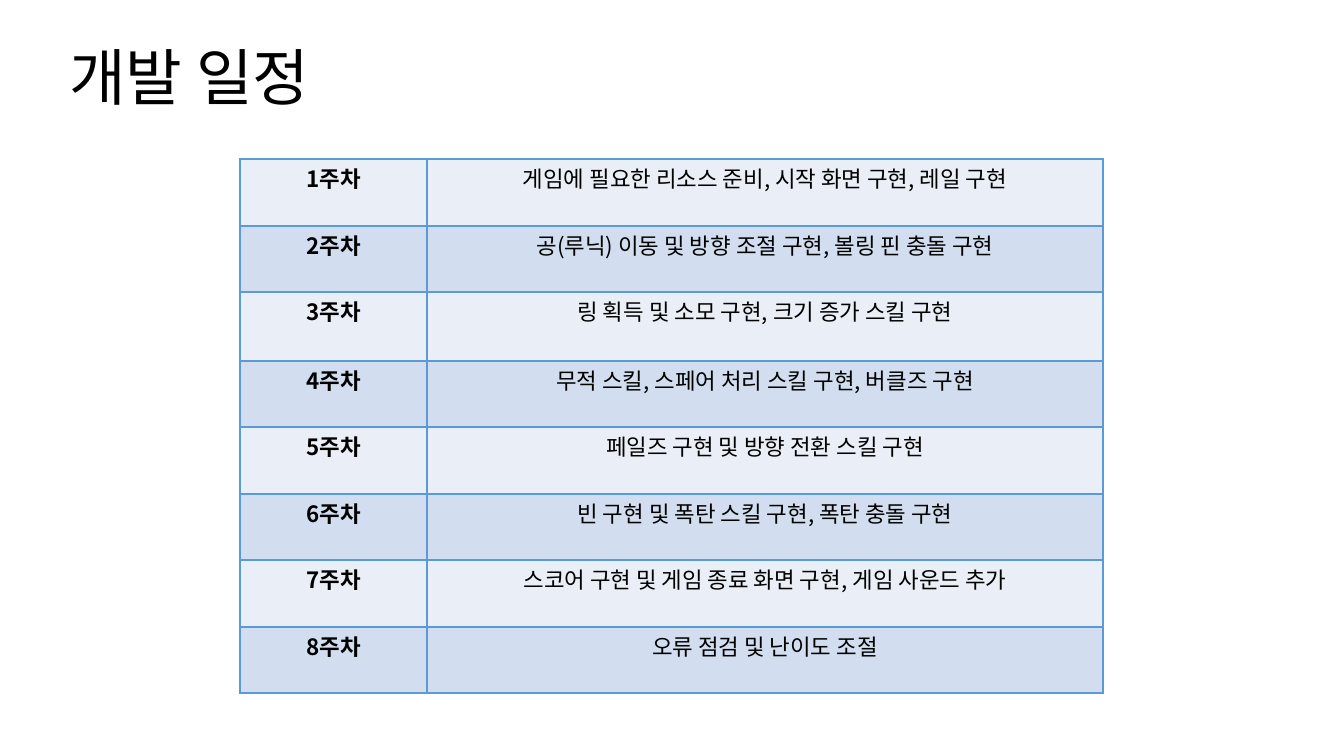
from lxml.etree import SubElement
from pptx import Presentation
from pptx.dml.color import RGBColor
from pptx.enum.text import MSO_ANCHOR, PP_ALIGN
from pptx.oxml import parse_xml
from pptx.oxml.ns import nsdecls, qn
from pptx.util import Pt

PX = 12192000 / 1344
FONT = "Noto Sans CJK KR"
BORDER = "5B9BD5"
BANDS = ["EAEFF7", "D2DEEF"]
COLUMN_WIDTHS = [187, 676]
ROW_HEIGHTS = [67, 66, 69, 66, 67, 66, 67, 66]
TASKS = [
    "게임에 필요한 리소스 준비, 시작 화면 구현, 레일 구현",
    "공(루닉) 이동 및 방향 조절 구현, 볼링 핀 충돌 구현",
    "링 획득 및 소모 구현, 크기 증가 스킬 구현",
    "무적 스킬, 스페어 처리 스킬 구현, 버클즈 구현",
    "페일즈 구현 및 방향 전환 스킬 구현",
    "빈 구현 및 폭탄 스킬 구현, 폭탄 충돌 구현",
    "스코어 구현 및 게임 종료 화면 구현, 게임 사운드 추가",
    "오류 점검 및 난이도 조절",
]


def px(length):
    return round(length * PX)


def add_span(para, text, size, bold=False):
    span = para.add_run()
    span.text = text
    span.font.size = Pt(size)
    span.font.bold = bold
    span.font.color.rgb = RGBColor.from_string("000000")
    span.font.name = FONT
    SubElement(span.font._element, qn("a:ea")).set("typeface", FONT)


deck = Presentation()
deck.slide_width, deck.slide_height = px(1344), px(756)
page = deck.slides.add_slide(deck.slide_layouts[5])

title = page.shapes.title
title.left, title.top, title.width, title.height = px(59), px(31), px(309), px(99)
title.text_frame.vertical_anchor = MSO_ANCHOR.MIDDLE
para = title.text_frame.paragraphs[0]
para.alignment = PP_ALIGN.LEFT
para.line_spacing = 0.9
add_span(para, "개발 일정", 44)

schedule = page.shapes.add_table(
    len(TASKS), 2, px(240), px(159), px(sum(COLUMN_WIDTHS)), px(sum(ROW_HEIGHTS))
).table
schedule.first_row = False
for column, width in zip(schedule.columns, COLUMN_WIDTHS):
    column.width = px(width)

for index, (task, height) in enumerate(zip(TASKS, ROW_HEIGHTS)):
    row = schedule.rows[index]
    row.height = px(height)
    for cell, text, bold in zip(row.cells, [f"{index + 1}주차", task], [True, False]):
        cell.margin_left = cell.margin_right = px(6)
        cell.margin_top = cell.margin_bottom = 0
        cell.vertical_anchor = MSO_ANCHOR.TOP
        para = cell.text_frame.paragraphs[0]
        para.alignment = PP_ALIGN.CENTER
        para.line_spacing = 1.07
        para.space_after = Pt(8)
        add_span(para, text, 16, bold)
        properties = cell._tc.get_or_add_tcPr()
        for side in ["lnL", "lnR", "lnT", "lnB"]:
            properties.append(parse_xml(
                f'<a:{side} {nsdecls("a")} w="{Pt(1)}"><a:solidFill>'
                f'<a:srgbClr val="{BORDER}"/></a:solidFill></a:{side}>'
            ))
        cell.fill.solid()
        cell.fill.fore_color.rgb = RGBColor.from_string(BANDS[index % 2])

deck.save("out.pptx")
